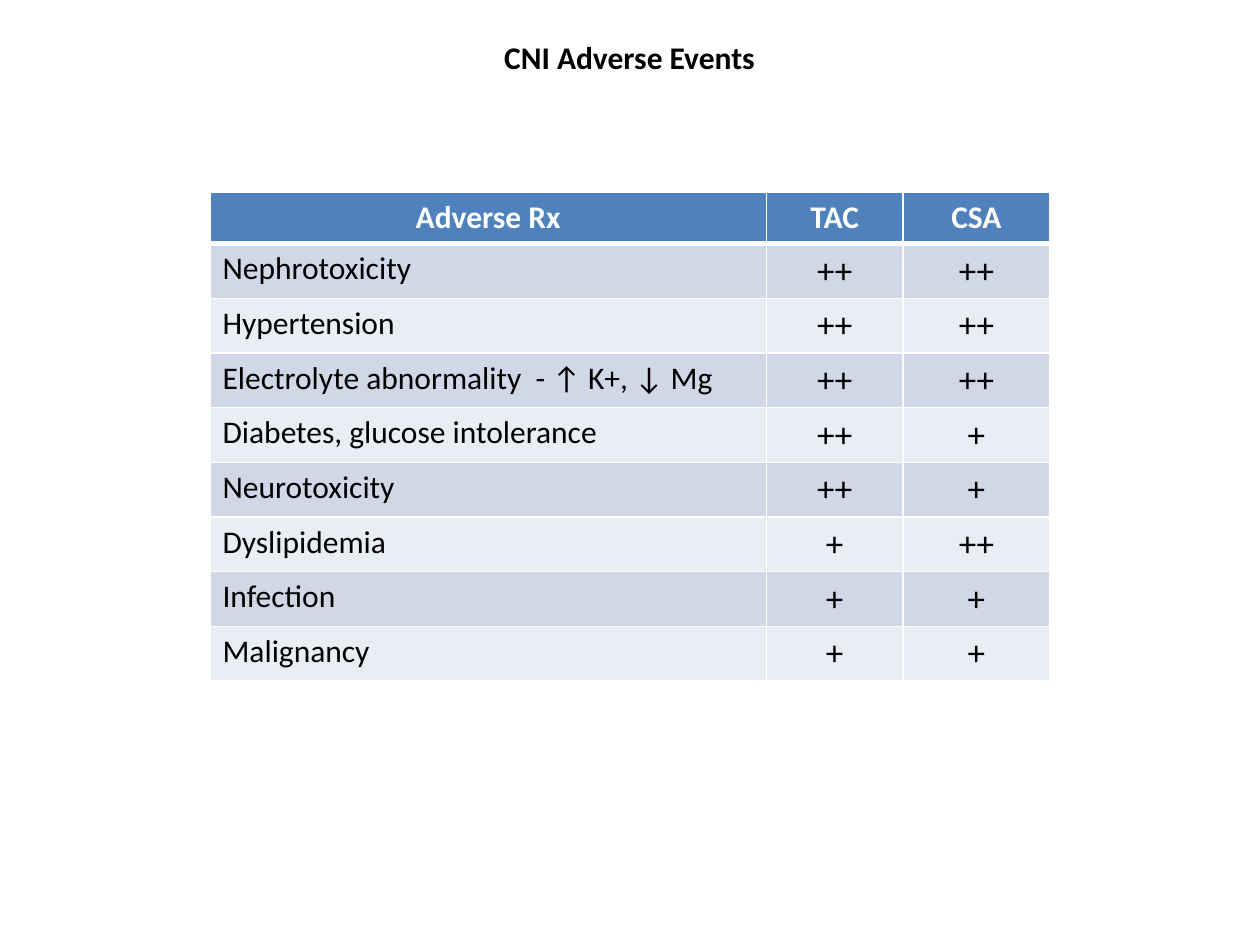
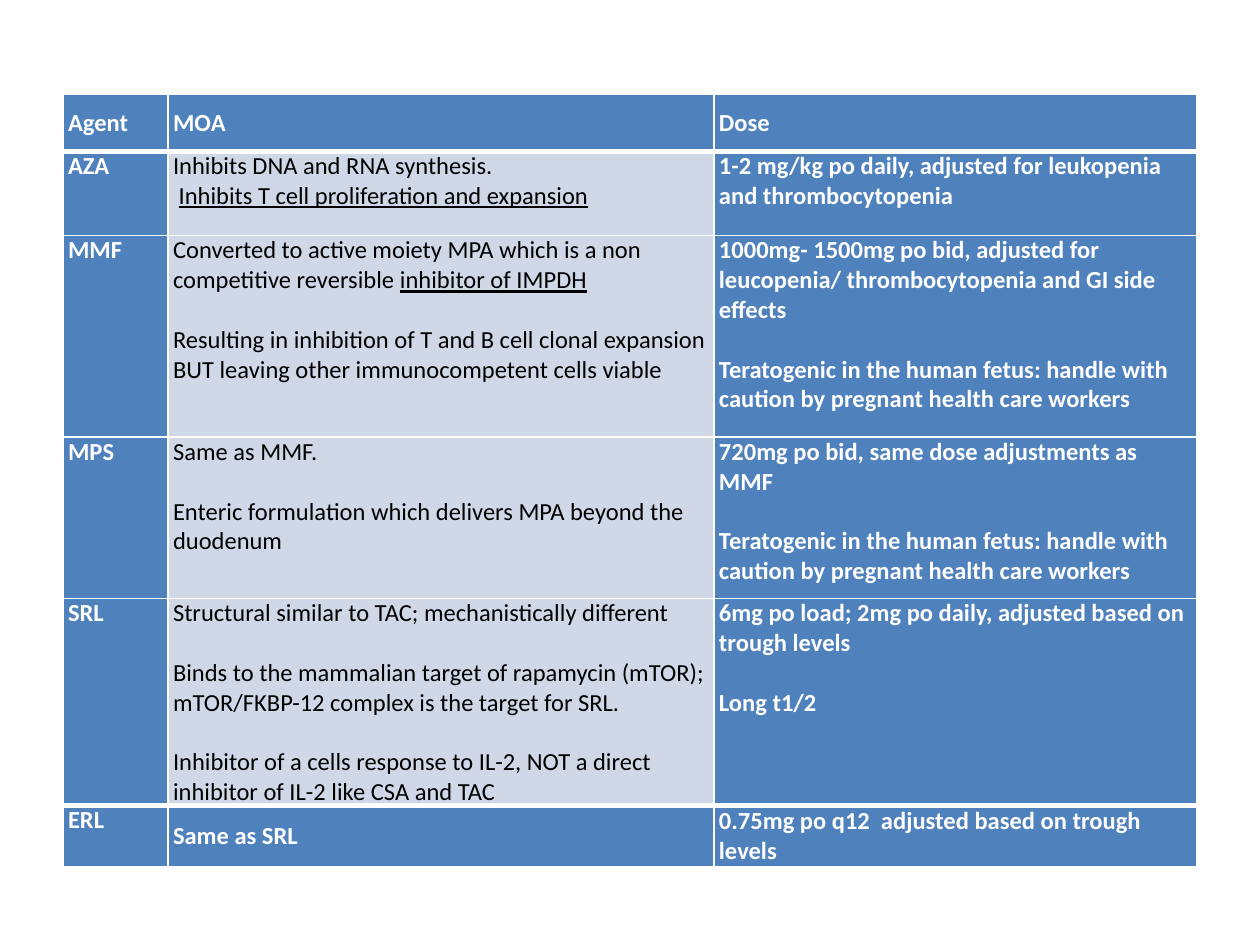
"""Build two slides of tables on immunosuppressant adverse events and dosing."""
from dataclasses import dataclass

from lxml.etree import SubElement
from pptx import Presentation
from pptx.dml.color import RGBColor
from pptx.enum.text import MSO_ANCHOR, MSO_AUTO_SIZE, PP_ALIGN
from pptx.oxml.ns import qn
from pptx.util import Pt


@dataclass(frozen=True)
class Theme:
    font: str = "Calibri"
    blue: str = "4F81BD"
    band_dark: str = "D0D8E8"
    band_light: str = "E9EDF4"
    white: str = "FFFFFF"
    black: str = "000000"
    title_size: int = 18
    mark_size: int = 20
    dosing_size: int = 14
    thin: int = 1
    thick: int = 3
    paragraph_gap: int = 17


theme = Theme()


def add_grid(slide, left, top, widths, heights):
    frame = slide.shapes.add_table(len(heights), len(widths), Pt(left), Pt(top),
                                   Pt(sum(widths)), Pt(sum(heights)))
    grid = frame.table
    grid.first_row = grid.horz_banding = False
    for column, width in zip(grid.columns, widths):
        column.width = Pt(width)
    for row, height in zip(grid.rows, heights):
        row.height = Pt(height)
    return grid


def style_cell(cell, fill, size, thick_sides=(), middle=False, centered=False):
    properties = cell._tc.get_or_add_tcPr()
    for side in "LRTB":
        width = theme.thick if side in thick_sides else theme.thin
        border = SubElement(properties, qn(f"a:ln{side}"), w=str(Pt(width)))
        SubElement(SubElement(border, qn("a:solidFill")), qn("a:srgbClr"), val=theme.white)
    cell.fill.solid()
    cell.fill.fore_color.rgb = RGBColor.from_string(fill)
    cell.vertical_anchor = MSO_ANCHOR.MIDDLE if middle else MSO_ANCHOR.TOP
    on_blue = fill == theme.blue
    for paragraph in cell.text_frame.paragraphs:
        paragraph.alignment = PP_ALIGN.CENTER if centered else PP_ALIGN.LEFT
        for run in paragraph.runs:
            run.font.name = theme.font
            run.font.size = Pt(size)
            run.font.bold = on_blue
            run.font.color.rgb = RGBColor.from_string(theme.white if on_blue else theme.black)


deck = Presentation()
deck.slide_width, deck.slide_height = Pt(720), Pt(540)
blank = deck.slide_layouts[6]

events_slide = deck.slides.add_slide(blank)
title = events_slide.shapes.add_textbox(Pt(281), Pt(18), Pt(159), Pt(29)).text_frame
title.word_wrap = False
title.auto_size = MSO_AUTO_SIZE.SHAPE_TO_FIT_TEXT
title.text = "CNI Adverse Events"
title_font = title.paragraphs[0].runs[0].font
title_font.name, title_font.size, title_font.bold = theme.font, Pt(theme.title_size), True
title_font.color.rgb = RGBColor.from_string(theme.black)

adverse_events = [
    ("Adverse Rx", "TAC", "CSA"),
    ("Nephrotoxicity", "++", "++"),
    ("Hypertension", "++", "++"),
    ("Electrolyte abnormality  - ↑ K+, ↓ Mg", "++", "++"),
    ("Diabetes, glucose intolerance", "++", "+"),
    ("Neurotoxicity", "++", "+"),
    ("Dyslipidemia", "+", "++"),
    ("Infection", "+", "+"),
    ("Malignancy", "+", "+"),
]
events = add_grid(events_slide, 120, 110, [318, 78, 84], [29.2] + [31.2] * 8)
for row, entries in enumerate(adverse_events):
    band = theme.band_dark if row % 2 else theme.band_light
    for column, entry in enumerate(entries):
        cell = events.cell(row, column)
        cell.text_frame.text = entry
        is_mark = row > 0 and column > 0
        style_cell(cell, theme.blue if row == 0 else band,
                   theme.mark_size if is_mark else theme.title_size,
                   thick_sides={0: "B", 1: "T"}.get(row, ""),
                   middle=is_mark, centered=row == 0 or column > 0)

dosing_slide = deck.slides.add_slide(blank)
proliferation = "Inhibits T cell proliferation and expansion"
underlined = (proliferation, "inhibitor of IMPDH")
teratogenic = ("Teratogenic in the human fetus: handle with caution "
               "by pregnant health care workers")
agents = [
    (["Agent"], ["MOA"], ["Dose"]),
    (["AZA"],
     ["Inhibits DNA and RNA synthesis.", proliferation],
     ["1-2 mg/kg po daily, adjusted for leukopenia and thrombocytopenia"]),
    (["MMF"],
     ["Converted to active moiety MPA which is a non competitive reversible inhibitor of IMPDH",
      "Resulting in inhibition of T and B cell clonal expansion BUT leaving other "
      "immunocompetent cells viable"],
     ["1000mg- 1500mg po bid, adjusted for leucopenia/ thrombocytopenia and GI side effects",
      teratogenic]),
    (["MPS"],
     ["Same as MMF.", "Enteric formulation which delivers MPA beyond the duodenum"],
     ["720mg po bid, same dose adjustments as MMF", teratogenic]),
    (["SRL"],
     ["Structural similar to TAC; mechanistically different",
      "Binds to the mammalian target of rapamycin (mTOR); mTOR/FKBP-12 complex "
      "is the target for SRL.",
      "Inhibitor of a cells response to IL-2, NOT a direct inhibitor of IL-2 like CSA and TAC"],
     ["6mg po load; 2mg po daily, adjusted based on trough levels", "Long t1/2"]),
    (["ERL"], ["Same as SRL"], ["0.75mg po q12  adjusted based on trough levels"]),
]
dosing = add_grid(dosing_slide, 36, 54, [60, 312, 276], [32.4, 48.2, 115.2, 92.2, 118.4, 35.2])
last = len(agents) - 1
for row, entries in enumerate(agents):
    for column, lines in enumerate(entries):
        cell = dosing.cell(row, column)
        cell.margin_left = cell.margin_right = Pt(2.9)
        cell.margin_top = cell.margin_bottom = Pt(0)
        cell.text_frame.text = "\n".join(lines)
        for position, paragraph in enumerate(cell.text_frame.paragraphs):
            if paragraph.text == proliferation:
                paragraph._p.get_or_add_pPr().set("marL", str(Pt(3.2)))
            elif position > 0:
                paragraph.space_before = Pt(theme.paragraph_gap)
            for phrase in underlined:
                if paragraph.text.endswith(phrase):
                    paragraph.text = paragraph.text.removesuffix(phrase)
                    emphasis = paragraph.add_run()
                    emphasis.text = phrase
                    emphasis.font.underline = True
        is_mechanism = column == 1 and 0 < row < last
        style_cell(cell, theme.band_dark if is_mechanism else theme.blue, theme.dosing_size,
                   thick_sides={0: "B", 1: "T", last - 1: "B", last: "T"}.get(row, ""),
                   middle=row == 0 or (row == last and column > 0))

deck.save("out.pptx")
